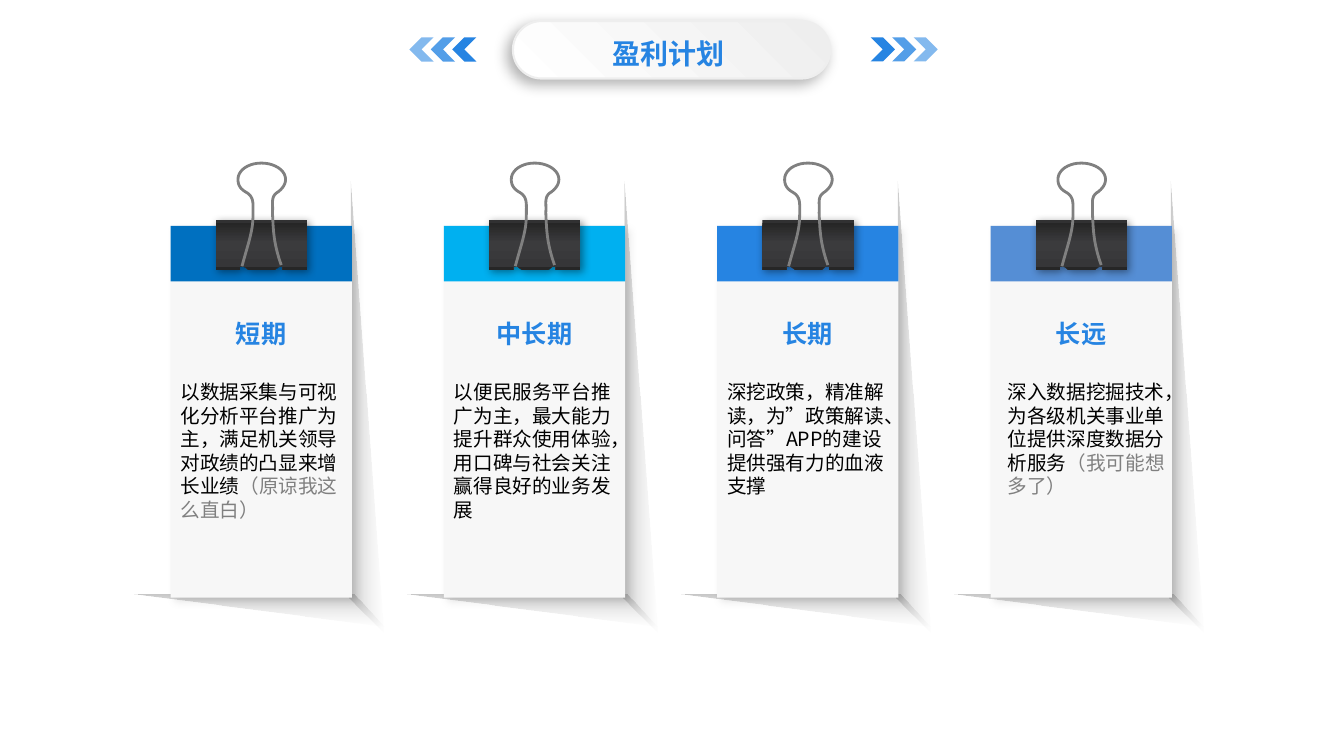
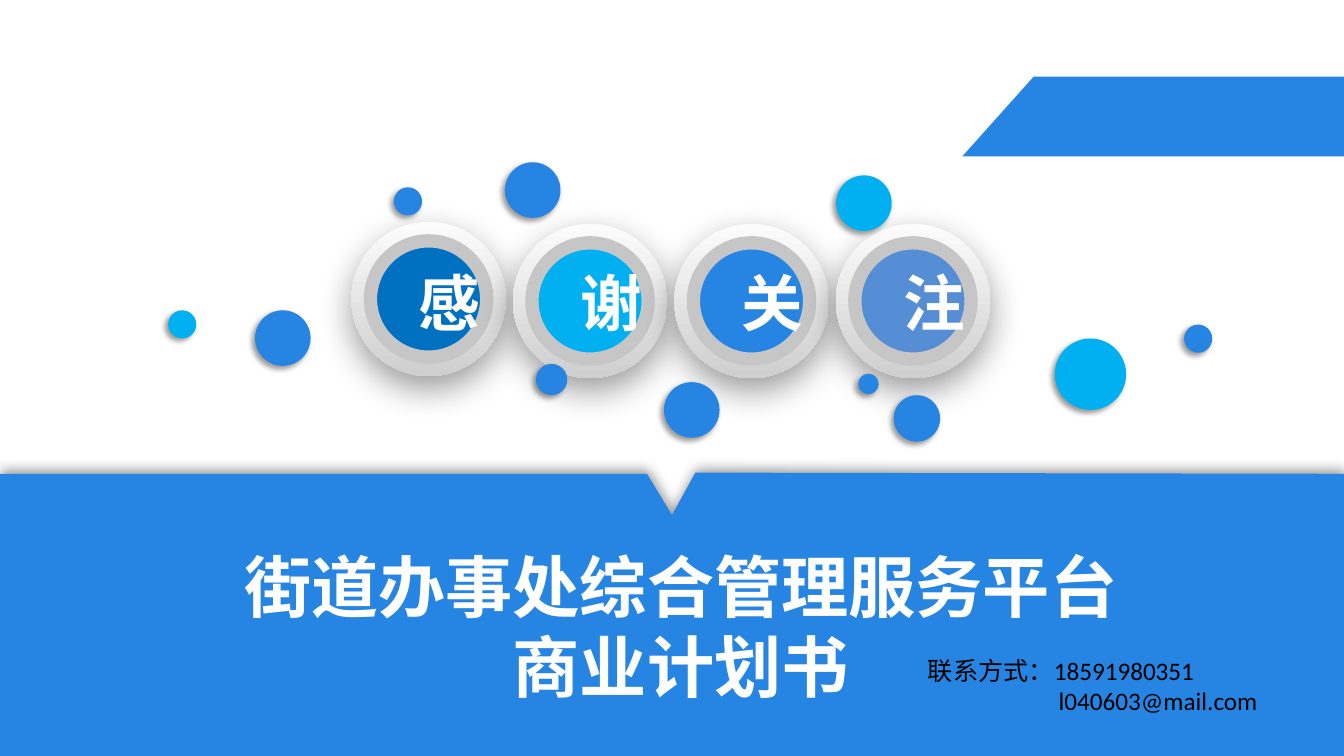
"""Build the profit plan slide and the closing slide of a business plan deck."""
import pptx
import pptx.dml.color
import pptx.enum.shapes
import pptx.enum.text
import pptx.oxml.ns
import pptx.util
from lxml import etree

Cm = pptx.util.Cm
Pt = pptx.util.Pt
qn = pptx.oxml.ns.qn
SHAPE = pptx.enum.shapes.MSO_SHAPE
CENTER = pptx.enum.text.PP_ALIGN.CENTER

NAVY, CYAN, BLUE, STEEL = "0070C0", "00B0F0", "2684E2", "558ED5"
BLACK, WHITE, GREY = "000000", "FFFFFF", "808080"
CJK, LATIN, TITLE_FONT = "Noto Sans CJK SC", "Calibri", "Roboto Condensed"
WIDTH, HEIGHT = 33.88, 19.05


def draw(slide, kind, at, fill=None, alpha=100, angle=0, line=None, shadow=None, rotation=0):
    """Draw a preset shape in a box, or an outline through points when kind is None."""
    if kind is None:
        points = [(Cm(x), Cm(y)) for x, y in at]
        builder = slide.shapes.build_freeform(*points[0], scale=1.0)
        builder.add_line_segments(points[1:], close=fill is not None)
        shape = builder.convert_to_shape()
    else:
        shape = slide.shapes.add_shape(kind, *(Cm(length) for length in at))
    shape.rotation = rotation
    shape.shadow.inherit = False
    properties = shape.fill._xPr
    if fill is None:
        shape.fill.background()
    elif isinstance(fill, str):
        shape.fill.solid()
        shape.fill.fore_color.rgb = pptx.dml.color.RGBColor.from_string(fill)
        if alpha < 100:
            color = properties.find(".//" + qn("a:srgbClr"))
            etree.SubElement(color, qn("a:alpha"), val=str(alpha * 1000))
    else:
        shape.fill.gradient()
        shape.fill.gradient_angle = 360 - angle
        stops = properties.find(".//" + qn("a:gsLst"))
        for stop in list(stops):
            stops.remove(stop)
        for position, tone, opacity in fill:
            stop = etree.SubElement(stops, qn("a:gs"), pos=str(position * 1000))
            color = etree.SubElement(stop, qn("a:srgbClr"), val=tone)
            etree.SubElement(color, qn("a:alpha"), val=str(opacity * 1000))
    if line:
        shape.line.color.rgb = pptx.dml.color.RGBColor.from_string(line[0])
        shape.line.width = Pt(line[1])
    else:
        shape.line.fill.background()
    if shadow:
        opacity, blur, distance, direction = shadow
        outer = etree.SubElement(
            properties.find(qn("a:effectLst")), qn("a:outerShdw"), blurRad=str(Pt(blur)),
            dist=str(Pt(distance)), dir=str(direction * 60000), algn="ctr", rotWithShape="0")
        color = etree.SubElement(outer, qn("a:srgbClr"), val=BLACK)
        etree.SubElement(color, qn("a:alpha"), val=str(opacity * 1000))
    return shape


def write(slide, at, paragraphs, font, size, bold=False, align=None):
    """Write paragraphs, each a list of (text, colour) runs, into a wrapping box."""
    frame = slide.shapes.add_textbox(*(Cm(length) for length in at)).text_frame
    frame.word_wrap = True
    for index, runs in enumerate(paragraphs):
        paragraph = frame.add_paragraph() if index else frame.paragraphs[0]
        paragraph.alignment = align
        for text, tone in runs:
            run = paragraph.add_run()
            run.text = text
            for name, value in {"name": font, "size": Pt(size), "bold": bold}.items():
                setattr(run.font, name, value)
            run.font.color.rgb = pptx.dml.color.RGBColor.from_string(tone)
            etree.SubElement(run.font._rPr, qn("a:ea"), typeface=CJK)
    return frame


deck = pptx.Presentation()
deck.slide_width, deck.slide_height = Cm(WIDTH), Cm(HEIGHT)
blank = deck.slide_layouts[6]

plan = deck.slides.add_slide(blank)
pill = draw(plan, SHAPE.ROUNDED_RECTANGLE, (12.93, 0.53, 8, 1.45),
            [(0, "EEEEEE", 100), (100, WHITE, 100)], angle=135,
            line=("EEEEEE", 1.5), shadow=(30, 10, 5, 135))
pill.adjustments[0] = 0.5
for start, step, rotation in [(21.95, 0.54, 0), (11.4, -0.54, 180)]:
    for index, alpha in enumerate([100, 79, 57]):
        draw(plan, SHAPE.CHEVRON, (start + index * step, 0.94, 0.61, 0.61), BLUE,
             alpha=alpha, rotation=rotation)
write(plan, (13.94, 0.79, 5.84, 1.04), [[("盈利计划", BLUE)]], TITLE_FONT, 20, True, CENTER)

CARD_SHADE = [(0, "F3F3F3", 12), (100, GREY, 44)]
CLIP_STEEL = [(7, "313132", 100), (7, "262626", 100), (46, "3B3B3D", 100),
              (93, "363638", 100), (93, "262626", 100)]
side_shade = [(4.52, 15.06), (5.38, 15.93), (4.55, 4.57)]
bottom_shade = [(4.62, 14.99), (5.38, 15.8), (-0.91, 14.99)]
clip = [(1.14, 5.54), (3.45, 5.54), (3.45, 6.81), (2.82, 6.81), (2.82, 6.71), (2.74, 6.71),
        (2.62, 6.81), (1.98, 6.81), (1.85, 6.71), (1.75, 6.71), (1.75, 6.81), (1.14, 6.81)]
wire_curves = [
    ((2.01, 5.97), (2.08, 5.79), (2.08, 5.38)),
    ((2.08, 5.11), (2.11, 4.95), (1.88, 4.83)),
    ((1.75, 4.75), (1.7, 4.65), (1.7, 4.52)),
    ((1.7, 4.29), (1.96, 4.11), (2.29, 4.11)),
    ((2.62, 4.11), (2.9, 4.29), (2.9, 4.52)),
    ((2.9, 4.65), (2.82, 4.75), (2.72, 4.83)),
    ((2.51, 4.95), (2.59, 5.11), (2.57, 5.36)),
    ((2.59, 5.77), (2.59, 6.12), (2.79, 6.68)),
]
wire = [(1.8, 6.71)]
for first, second, end in wire_curves:
    start = wire[-1]
    for t in (step / 10 for step in range(1, 11)):
        wire.append(tuple(
            (1 - t) ** 3 * a + 3 * (1 - t) ** 2 * t * b + 3 * (1 - t) * t ** 2 * c + t ** 3 * d
            for a, b, c, d in zip(start, first, second, end)))

cards = [
    (NAVY, "短期", 0, [("以数据采集与可视化分析平台推广为主，满足机关领导对政绩的凸显来增长业绩", BLACK),
                     ("（原谅我这么直白）", GREY)]),
    (CYAN, "中长期", 0, [("以便民服务平台推广为主，最大能力提升群众使用体验，"
                       "用口碑与社会关注赢得良好的业务发展", BLACK)]),
    (BLUE, "长期", 0, [("深挖政策，精准解读，为”政策解读、问答”APP的建设提供强有力的血液支撑", BLACK)]),
    (STEEL, "长远", 0.18, [("深入数据挖掘技术，为各级机关事业单位提供深度数据分析服务", BLACK),
                         ("（我可能想多了）", GREY)]),
]
for index, (tone, term, indent, body) in enumerate(cards):
    left = 4.3 + index * 6.89
    for outline, angle in [(side_shade, 180), (bottom_shade, 270)]:
        draw(plan, None, [(left + x, y) for x, y in outline], CARD_SHADE, angle=angle)
    draw(plan, SHAPE.RECTANGLE, (left, 5.69, 4.57, 9.37), "F7F7F7", shadow=(10, 6, 4, 45))
    draw(plan, SHAPE.RECTANGLE, (left, 5.69, 4.57, 1.4), tone)
    draw(plan, None, [(left + x, y) for x, y in clip], CLIP_STEEL, angle=90,
         shadow=(40, 6, 2, 45))
    draw(plan, None, [(left + x, y) for x, y in wire], line=(GREY, 2))
    write(plan, (left, 7.9, 4.57, 1.02), [[(term, BLUE)]], CJK, 18, True, CENTER)
    write(plan, (left + indent, 9.45, 4.62, 3.84), [body], CJK, 14)

closing = deck.slides.add_slide(blank)
thanks = [("感", NAVY, 5.59), ("谢", CYAN, 5.64), ("关", BLUE, 5.64), ("注", STEEL, 5.64)]
for index, (character, tone, top) in enumerate(thanks):
    left = 8.86 + index * 4.07
    draw(closing, SHAPE.OVAL, (left, top, 3.89, 3.89),
         [(0, "FCFCFC", 100), (100, "CFCFCF", 100)], angle=90, shadow=(40, 25, 9, 90))
    draw(closing, SHAPE.OVAL, (left + 0.48, top + 0.48, 2.93, 2.93), tone, line=("C6C6C6", 9.5))
    write(closing, (left + 1.45, 6.55, 1, 2.13), [[(character, WHITE)]], CJK, 44, True, CENTER)

band = [(0, 11.94), (16.31, 11.94), (16.94, 12.98), (17.53, 11.91), (WIDTH, 11.94),
        (WIDTH, HEIGHT), (0, HEIGHT)]
ribbon = [(26.06, 1.93), (WIDTH, 1.93), (WIDTH, 3.94), (24.26, 3.94)]
draw(closing, None, band, BLUE, shadow=(40, 9, 3, 270))
draw(closing, None, ribbon, BLUE)
write(closing, (3.94, 13.61, 26.44, 4.37),
      [[("街道办事处综合管理服务平台", WHITE)], [("商业计划书", WHITE)]], CJK, 48, True, CENTER)

bubbles = [
    (12.73, 4.09, 1.4, BLUE), (6.43, 7.82, 1.4, BLUE), (16.74, 9.63, 1.4, BLUE),
    (21.08, 4.42, 1.4, CYAN), (26.59, 8.53, 1.8, CYAN), (22.53, 9.96, 1.17, BLUE),
    (13.51, 9.17, 0.79, BLUE), (4.24, 7.82, 0.71, CYAN), (9.93, 4.72, 0.71, BLUE),
    (29.85, 8.18, 0.71, BLUE), (21.64, 9.42, 0.51, BLUE),
]
for left, top, diameter, tone in bubbles:
    draw(closing, SHAPE.OVAL, (left, top, diameter, diameter), tone, shadow=(40, 4, 3, 135))

contact = write(closing, (23.14, 16.38, 9.19, 1.8),
                [[("联系方式：18591980351", BLACK)], [("l040603@mail.com", BLACK)]], LATIN, 18)
contact.paragraphs[1]._p.get_or_add_pPr().set("marL", str(Cm(3.3)))

deck.save("out.pptx")
